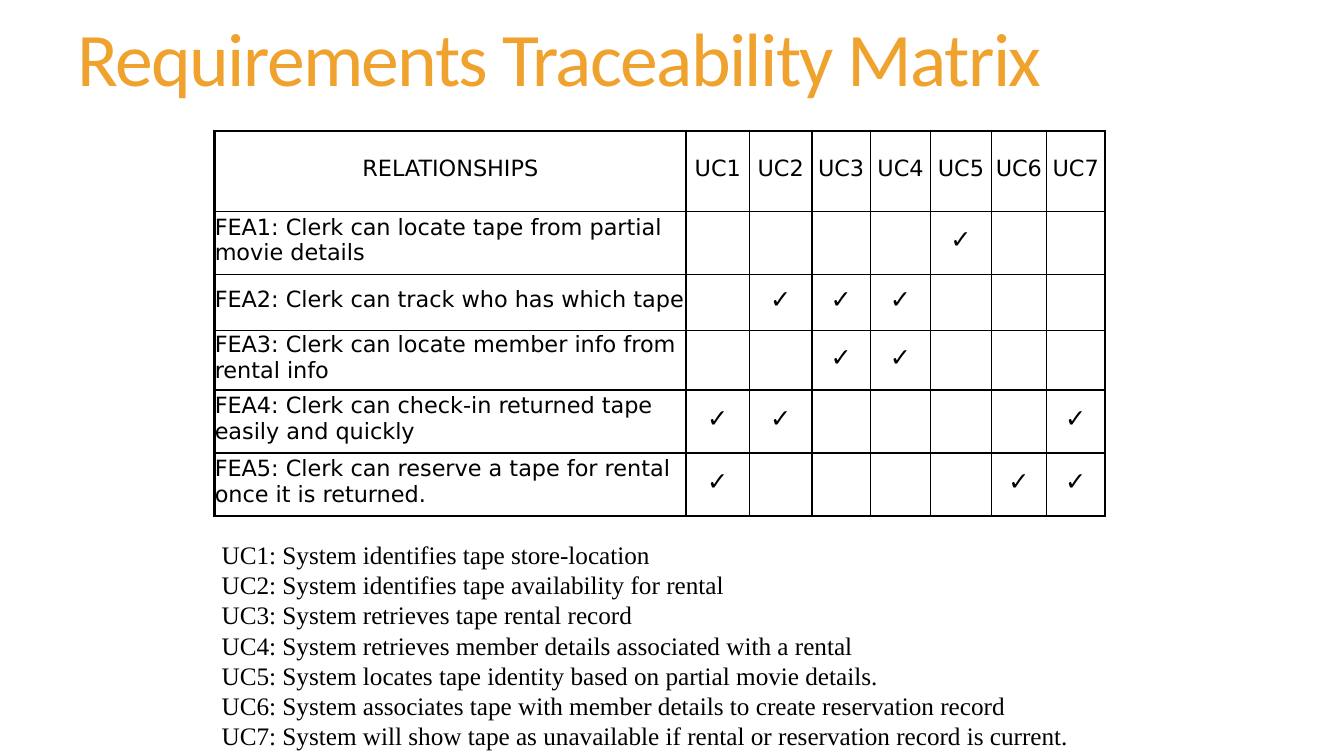
import pptx
import pptx.dml.color
import pptx.enum.text
import pptx.oxml
import pptx.oxml.ns
import pptx.util

Inches = pptx.util.Inches
Pt = pptx.util.Pt
ALIGN = pptx.enum.text.PP_ALIGN
ANCHOR = pptx.enum.text.MSO_ANCHOR
AUTO = pptx.enum.text.MSO_AUTO_SIZE

BLACK, ORANGE = "000000", "F0A22E"
THIN, THICK = 1, 2.25
CHECK = "\u2713"

COL_WIDTHS = [4.68, 0.63, 0.62, 0.58, 0.6, 0.6, 0.55, 0.58]
ROW_HEIGHTS = [0.79, 0.62, 0.55, 0.59, 0.62, 0.62]
FEATURES = [
    ("Clerk can locate tape from partial movie details", {5}),
    ("Clerk can track who has which tape", {2, 3, 4}),
    ("Clerk can locate member info from rental info", {3, 4}),
    ("Clerk can check-in returned tape easily and quickly", {1, 2, 7}),
    ("Clerk can reserve a tape for rental once it is returned.", {1, 6, 7}),
]
USE_CASES = [
    "System identifies tape store-location",
    "System identifies tape availability for rental",
    "System retrieves tape rental record",
    "System retrieves member details associated with a rental",
    "System locates tape identity based on partial movie details.",
    "System associates tape with member details to create reservation record",
    "System will show tape as unavailable if rental or reservation record is current.",
]


def rgb(value):
    return pptx.dml.color.RGBColor.from_string(value)


def add_run(p, text, size, font, color):
    r = p.add_run()
    r.text = text
    r.font.size = Pt(size)
    r.font.name = font
    r.font.color.rgb = rgb(color)
    return r


def set_borders(cell, widths, color):
    tc_pr = cell._tc.get_or_add_tcPr()
    for i, (side, width) in enumerate(zip("LRTB", widths)):
        tc_pr.insert(i, pptx.oxml.parse_xml(
            f'<a:ln{side} {pptx.oxml.ns.nsdecls("a")} w="{Pt(width)}">'
            f'<a:solidFill><a:srgbClr val="{color}"/></a:solidFill></a:ln{side}>'))


def add_title(s, x, y, w, h):
    sp = s.shapes.title
    sp.left, sp.top, sp.width, sp.height = map(Inches, (x, y, w, h))
    tf = sp.text_frame
    tf.auto_size = AUTO.NONE
    tf.vertical_anchor = ANCHOR.MIDDLE
    p = tf.paragraphs[0]
    p.alignment = ALIGN.LEFT
    p.line_spacing = 0.85
    r = add_run(p, "Requirements Traceability Matrix", 54, "Calibri", ORANGE)
    r.font._element.set("spc", "-120")


def fill_cell(cell, text, size, align):
    cell.fill.background()
    cell.vertical_anchor = ANCHOR.MIDDLE
    cell.margin_left = cell.margin_right = cell.margin_top = 0
    cell.margin_bottom = Inches(0.05)
    p = cell.text_frame.paragraphs[0]
    p.alignment = align
    p.space_before = Pt(0.2 * size)
    if text:
        add_run(p, text, size, "DejaVu Sans", BLACK)


def add_matrix(s, x, y, w, h):
    cases = range(1, len(USE_CASES) + 1)
    rows = [["RELATIONSHIPS"] + [f"UC{n}" for n in cases]]
    for i, (feature, marks) in enumerate(FEATURES, 1):
        rows.append([f"FEA{i}: {feature}"] + [CHECK if n in marks else "" for n in cases])
    last_row, last_col = len(rows) - 1, len(cases)
    table = s.shapes.add_table(len(rows), last_col + 1, *map(Inches, (x, y, w, h))).table
    table.first_row = table.horz_banding = False
    for col, width in zip(table.columns, COL_WIDTHS):
        col.width = Inches(width * w / sum(COL_WIDTHS))
    for row, height in zip(table.rows, ROW_HEIGHTS):
        row.height = Inches(height * h / sum(ROW_HEIGHTS))
    for i, texts in enumerate(rows):
        for j, text in enumerate(texts):
            cell = table.cell(i, j)
            is_feature = i > 0 and j == 0
            fill_cell(cell, text, 18 if text == CHECK else 16,
                      ALIGN.LEFT if is_feature else ALIGN.CENTER)
            outer = (j == 0, j == last_col, i == 0, i == last_row)
            set_borders(cell, [THICK if edge else THIN for edge in outer], BLACK)


def add_use_cases(s, x, y, w, h):
    tf = s.shapes.add_textbox(*map(Inches, (x, y, w, h))).text_frame
    tf.word_wrap = True
    tf.auto_size = AUTO.SHAPE_TO_FIT_TEXT
    for n, use_case in enumerate(USE_CASES, 1):
        p = tf.paragraphs[0] if n == 1 else tf.add_paragraph()
        p_pr = p._p.get_or_add_pPr()
        p_pr.set("marL", str(Inches(0.56)))
        p_pr.set("indent", str(Inches(-0.56)))
        add_run(p, f"UC{n}: {use_case}", 18, "Times New Roman", BLACK)


prs = pptx.Presentation()
prs.slide_width = Inches(13.33)
prs.slide_height = Inches(7.5)
s = prs.slides.add_slide(prs.slide_layouts[5])
add_title(s, 0.67, 0, 12, 1.25)
add_matrix(s, 2.13, 1.3, 8.83, 3.82)
add_use_cases(s, 2.1, 5.3, 9.26, 2.2)
prs.save("out.pptx")
